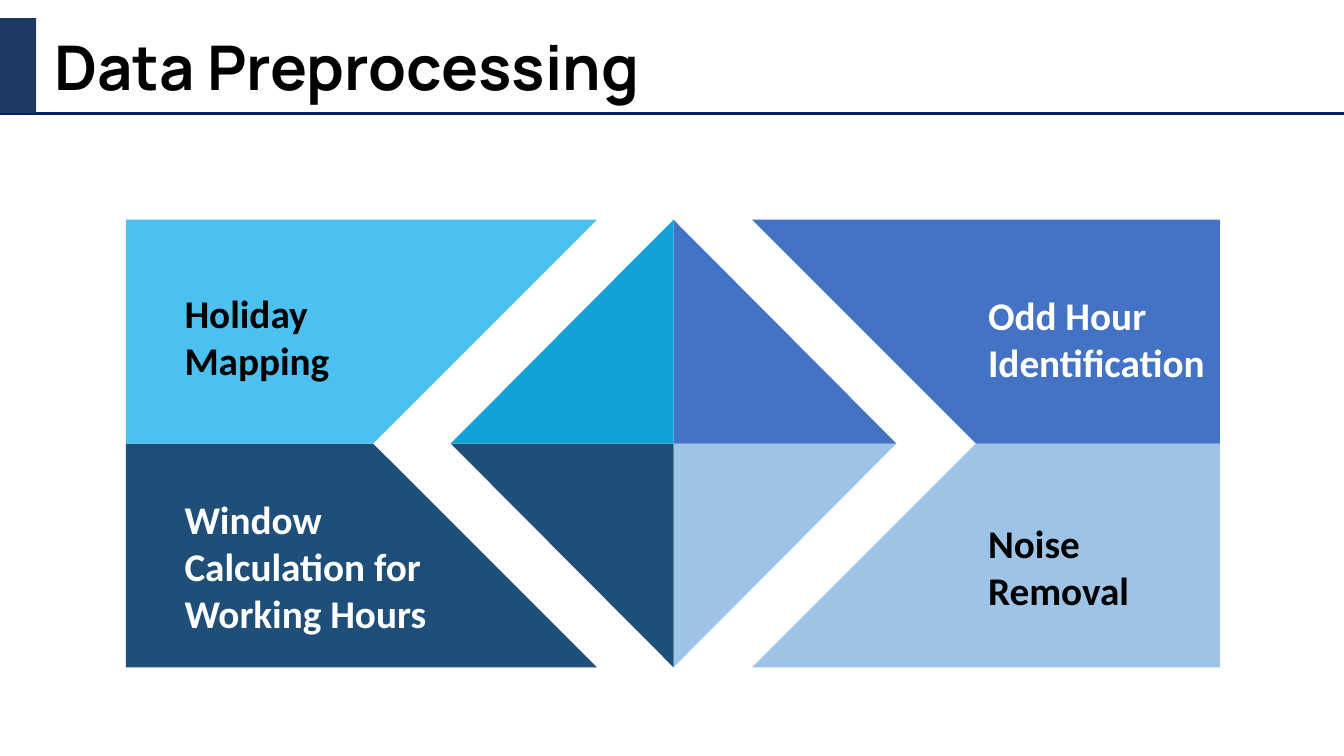
"""Build the Data Preprocessing slide: four labelled wings around a split diamond."""
from dataclasses import dataclass

from lxml import etree
from pptx import Presentation
from pptx.dml.color import RGBColor
from pptx.enum.shapes import MSO_CONNECTOR as Connector, MSO_SHAPE as Shape
from pptx.enum.text import MSO_ANCHOR as Anchor, MSO_AUTO_SIZE as AutoSize
from pptx.oxml.ns import qn
from pptx.slide import Slide
from pptx.util import Inches, Pt

SLIDE_WIDTH, SLIDE_HEIGHT = 13.33, 7.5
CENTER_X, CENTER_Y = 6.68, 4.4
TOP, BOTTOM = 2.18, 6.62
DIAMOND_RADIUS = 2.21


@dataclass(frozen=True)
class Side:
    outer: float
    notch: float
    tip: float
    direction: int


@dataclass(frozen=True)
class Quadrant:
    side: Side
    edge: float
    wing_color: str
    diamond_color: str


@dataclass(frozen=True)
class Label:
    text: str
    left: float
    top: float
    width: float
    height: float
    color: str
    font: str = "Calibri"
    size: int = 28
    side_inset: float = 0
    anchor: Anchor = Anchor.TOP


LEFT = Side(outer=1.25, notch=3.7, tip=5.92, direction=-1)
RIGHT = Side(outer=12.1, notch=9.68, tip=7.46, direction=1)

QUADRANTS = (
    Quadrant(RIGHT, BOTTOM, "9DC3E6", "9DC3E6"),
    Quadrant(LEFT, BOTTOM, "1F4E79", "1F4E79"),
    Quadrant(RIGHT, TOP, "4472C4", "4472C4"),
    Quadrant(LEFT, TOP, "4CC1EF", "13A1D9"),
)

TITLE = Label("Data Preprocessing", 0.44, 0.24, 12.89, 0.84, "000000",
              font="Manrope", size=44, side_inset=0.1)
LABELS = (
    Label("Noise Removal", 9.8, 5.1, 2.29, 1.04, "000000"),
    Label("Window Calculation for Working Hours", 1.83, 4.86, 2.61, 1.51, "FFFFFF"),
    Label("Odd Hour Identification", 9.8, 2.83, 2.61, 1.04, "FFFFFF", anchor=Anchor.BOTTOM),
    Label("Holiday Mapping", 1.83, 2.82, 2.61, 1.04, "000000"),
)


def rgb(value: str) -> RGBColor:
    return RGBColor.from_string(value)


def paint(shape, color: str) -> None:
    shape.shadow.inherit = False
    shape.fill.solid()
    shape.fill.fore_color.rgb = rgb(color)
    shape.line.fill.background()


def draw_polygon(page: Slide, points: list[tuple[float, float]], color: str) -> None:
    start, *others = [(Inches(x), Inches(y)) for x, y in points]
    builder = page.shapes.build_freeform(*start)
    builder.add_line_segments(others, close=True)
    paint(builder.convert_to_shape(), color)


def draw_wing(page: Slide, quadrant: Quadrant) -> None:
    side, edge = quadrant.side, quadrant.edge
    points = [(side.notch, CENTER_Y), (side.outer, CENTER_Y), (side.outer, edge), (side.tip, edge)]
    draw_polygon(page, points, quadrant.wing_color)


def draw_diamond_quarter(page: Slide, quadrant: Quadrant) -> None:
    corner_x = CENTER_X + quadrant.side.direction * DIAMOND_RADIUS
    points = [(CENTER_X, CENTER_Y), (corner_x, CENTER_Y), (CENTER_X, quadrant.edge)]
    draw_polygon(page, points, quadrant.diamond_color)


def draw_label(page: Slide, label: Label) -> None:
    box = page.shapes.add_textbox(Inches(label.left), Inches(label.top),
                                  Inches(label.width), Inches(label.height))
    frame = box.text_frame
    frame.word_wrap = True
    frame.auto_size = AutoSize.SHAPE_TO_FIT_TEXT
    frame.vertical_anchor = label.anchor
    frame.margin_left = frame.margin_right = Inches(label.side_inset)
    frame.text = label.text
    font = frame.paragraphs[0].runs[0].font
    font.name, font.size, font.bold = label.font, Pt(label.size), True
    font.color.rgb = rgb(label.color)


def draw_header(page: Slide) -> None:
    draw_label(page, TITLE)
    rule = page.shapes.add_connector(Connector.STRAIGHT, 0, Inches(1.13),
                                     Inches(SLIDE_WIDTH), Inches(1.13))
    rule.line.color.rgb = rgb("002060")
    rule.line.width = Pt(2.25)
    etree.SubElement(rule._element.spPr, qn("a:effectLst"))
    accent = page.shapes.add_shape(Shape.RECTANGLE, 0, Inches(0.18), Inches(0.36), Inches(0.94))
    paint(accent, "203864")


def main() -> None:
    deck = Presentation()
    deck.slide_width, deck.slide_height = Inches(SLIDE_WIDTH), Inches(SLIDE_HEIGHT)
    page = deck.slides.add_slide(deck.slide_layouts[6])
    draw_header(page)
    for quadrant in QUADRANTS:
        draw_wing(page, quadrant)
    for quadrant in QUADRANTS:
        draw_diamond_quarter(page, quadrant)
    for label in LABELS:
        draw_label(page, label)
    deck.save("out.pptx")


if __name__ == "__main__":
    main()
